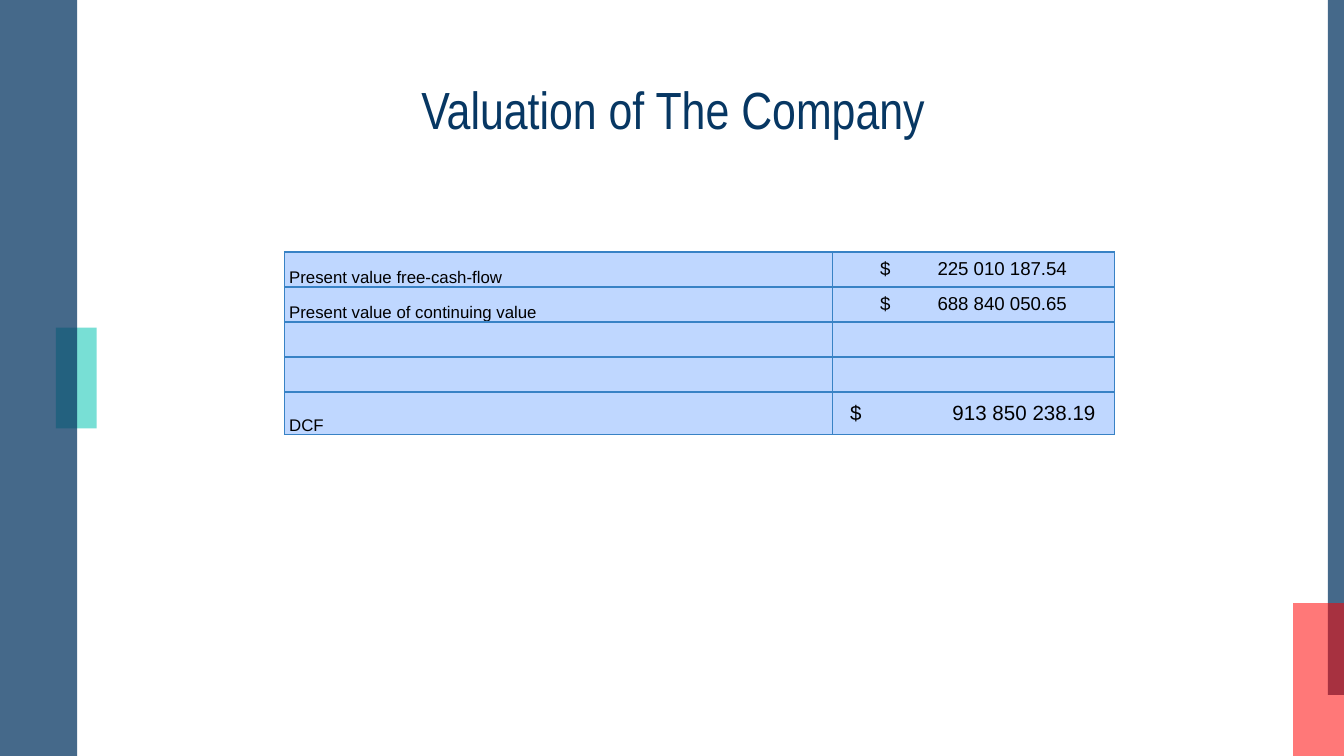
from lxml import etree
from pptx import Presentation
from pptx.dml.color import RGBColor
from pptx.enum.shapes import MSO_SHAPE as SHAPE
from pptx.enum.text import MSO_ANCHOR as ANCHOR, MSO_AUTO_SIZE as AUTO, PP_ALIGN as ALIGN
from pptx.oxml.ns import qn
from pptx.util import Pt

NAVY = RGBColor(0x07, 0x37, 0x63)
TEAL = RGBColor(0x00, 0xC3, 0xB1)
RED = RGBColor(0xFF, 0x00, 0x00)
BLACK = RGBColor(0x00, 0x00, 0x00)
CELL_BLUE = RGBColor(0xBF, 0xD7, 0xFF)
BORDER_BLUE = RGBColor(0x38, 0x82, 0xC5)

SLIDE_W, SLIDE_H = 720, 405

# left, top, width, height, colour, opacity in percent
BARS = [
    (30, 175.5, 21.8, 54, TEAL, 53),
    (0, 0, 41.3, SLIDE_H, NAVY, 75),
    (711.3, 0, 8.7, 372.3, NAVY, 75),
    (692.8, 323.2, 27.2, 81.8, RED, 53),
]

COL_WIDTHS = (293.6, 151.2)
ROW_H, TOTAL_H = 18.75, 23

# label, amount, amount size, left inset and right tab of the amount
ROWS = [
    ("Present value free-cash-flow", "225 010 187.54", 10, 25.5, 100),
    ("Present value of continuing value", "688 840 050.65", 10, 25.5, 100),
    None,
    None,
    ("DCF", "913 850 238.19", 11, 9.5, 131.5),
]


def add_bar(slide, left, top, width, height, color, opacity):
    sp = slide.shapes.add_shape(SHAPE.RECTANGLE, Pt(left), Pt(top), Pt(width), Pt(height))
    sp.shadow.inherit = False
    sp.line.fill.background()
    sp.fill.solid()
    sp.fill.fore_color.rgb = color
    clr = sp.fill._xPr.find(".//" + qn("a:srgbClr"))
    etree.SubElement(clr, qn("a:alpha"), val=str(opacity * 1000))


def format_run(p, font, size, color):
    for r in p.runs:
        r.font.name = font
        r.font.size = Pt(size)
        r.font.color.rgb = color


def set_title(slide, text):
    title = slide.shapes.title
    title.left, title.top, title.width, title.height = Pt(56.9), Pt(42.5), Pt(607), Pt(31.7)
    tf = title.text_frame
    tf.text = text
    tf.auto_size = AUTO.NONE
    tf.vertical_anchor = ANCHOR.MIDDLE
    p = tf.paragraphs[0]
    p.alignment = ALIGN.CENTER
    format_run(p, "Arial Narrow", 28, NAVY)


def style_cell(cell):
    cell.margin_left = cell.margin_right = cell.margin_top = cell.margin_bottom = 0
    tc_pr = cell._tc.get_or_add_tcPr()
    for side in ("lnL", "lnR", "lnT", "lnB"):
        ln = etree.SubElement(tc_pr, qn("a:" + side), w=str(Pt(0.75)))
        fill = etree.SubElement(ln, qn("a:solidFill"))
        etree.SubElement(fill, qn("a:srgbClr"), val=str(BORDER_BLUE))
    cell.fill.solid()
    cell.fill.fore_color.rgb = CELL_BLUE


def fill_cell(cell, text, size, inset, anchor, tab=None):
    cell.margin_left = Pt(inset)
    cell.vertical_anchor = anchor
    p = cell.text_frame.paragraphs[0]
    p.text = text
    if tab:
        tabs = etree.SubElement(p._p.get_or_add_pPr(), qn("a:tabLst"))
        etree.SubElement(tabs, qn("a:tab"), pos=str(Pt(tab)), algn="r")
    format_run(p, "Arial", size, BLACK)


def add_valuation_table(slide):
    height = ROW_H * (len(ROWS) - 1) + TOTAL_H
    frame = slide.shapes.add_table(len(ROWS), len(COL_WIDTHS), Pt(152.4), Pt(135),
                                   Pt(sum(COL_WIDTHS)), Pt(height))
    table = frame.table
    for col, width in zip(table.columns, COL_WIDTHS):
        col.width = Pt(width)
    for row, values in zip(table.rows, ROWS):
        row.height = Pt(ROW_H)
        for cell in row.cells:
            style_cell(cell)
        if values:
            label, amount, size, inset, tab = values
            fill_cell(row.cells[0], label, 9, 2.5, ANCHOR.BOTTOM)
            fill_cell(row.cells[1], f"$\t{amount}", size, inset, ANCHOR.MIDDLE, tab)
        else:
            # Small end mark keeps the empty row at its height
            for cell in row.cells:
                p = cell.text_frame.paragraphs[0]
                etree.SubElement(p._p, qn("a:endParaRPr"), sz="900")
    table.rows[len(ROWS) - 1].height = Pt(TOTAL_H)


def main():
    prs = Presentation()
    prs.slide_width, prs.slide_height = Pt(SLIDE_W), Pt(SLIDE_H)
    slide = prs.slides.add_slide(prs.slide_layouts[0])

    # Unused subtitle
    subtitle = slide.placeholders[1].element
    subtitle.getparent().remove(subtitle)

    # Side decoration
    for bar in BARS:
        add_bar(slide, *bar)

    # Content
    set_title(slide, "Valuation of The Company")
    add_valuation_table(slide)
    prs.save("out.pptx")


if __name__ == "__main__":
    main()
